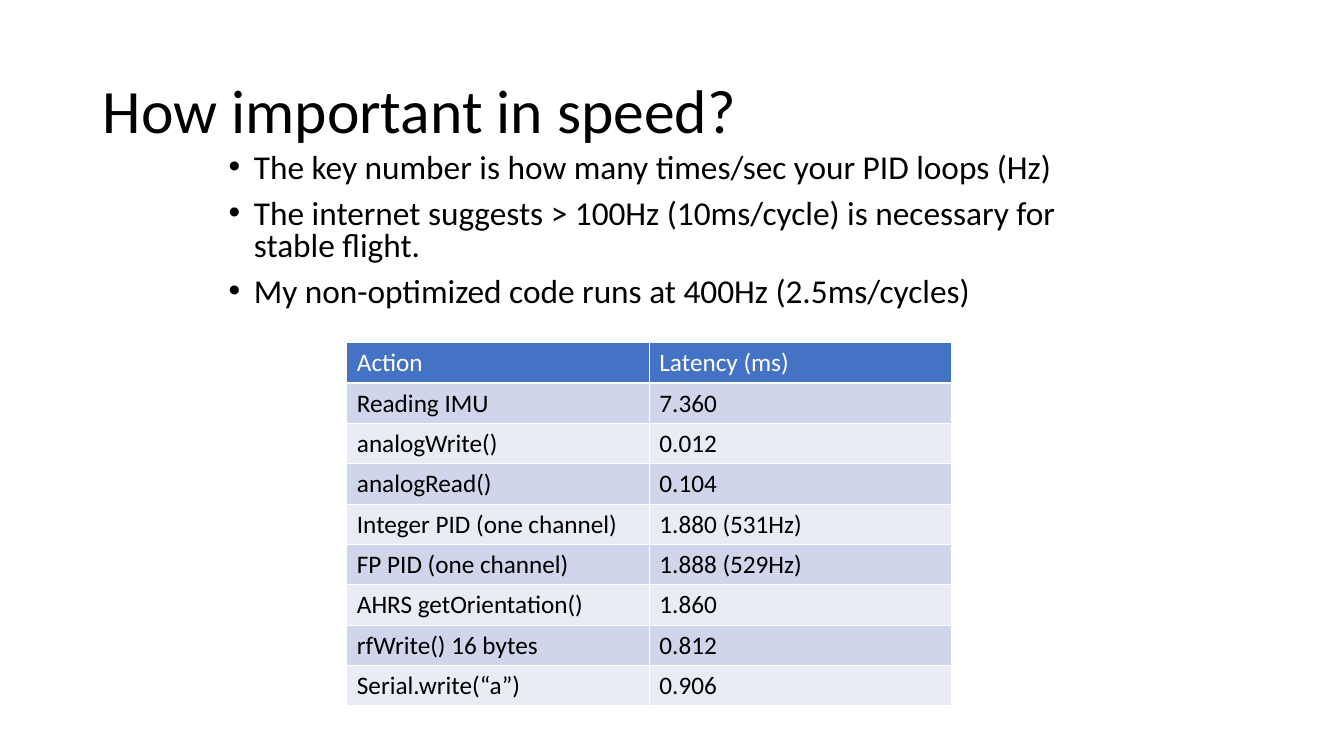
from dataclasses import dataclass

from lxml.etree import SubElement
from pptx import Presentation
from pptx.dml.color import RGBColor
from pptx.enum.text import MSO_ANCHOR, PP_ALIGN
from pptx.oxml.ns import qn
from pptx.util import Inches, Pt


@dataclass(frozen=True)
class Theme:
    font: str = "Calibri"
    text: str = "000000"
    white: str = "FFFFFF"
    header: str = "4472C4"
    bands: tuple = ("CFD5EA", "E9EBF5")
    title_size: float = 44
    bullet_size: float = 23.8
    table_size: float = 18


class SlideBuilder:
    def __init__(self, prs, theme):
        self.theme = theme
        self.s = prs.slides.add_slide(prs.slide_layouts[5])

    def style(self, p, size, color):
        p.font.name = self.theme.font
        p.font.size = Pt(size)
        p.font.bold = False
        p.font.color.rgb = RGBColor.from_string(color)
        p.alignment = PP_ALIGN.LEFT

    def title(self, text, left, top, width, height):
        sp = self.s.shapes.title
        sp.left, sp.top = Inches(left), Inches(top)
        sp.width, sp.height = Inches(width), Inches(height)
        tf = sp.text_frame
        tf.text = text
        tf.vertical_anchor = MSO_ANCHOR.MIDDLE
        p = tf.paragraphs[0]
        p.line_spacing = 0.9
        self.style(p, self.theme.title_size, self.theme.text)

    def bullets(self, items, left, top, width, height):
        sp = self.s.shapes.add_textbox(
            Inches(left), Inches(top), Inches(width), Inches(height))
        tf = sp.text_frame
        tf.word_wrap = True
        tf.text = "\n".join(items)
        for p in tf.paragraphs:
            self.style(p, self.theme.bullet_size, self.theme.text)
            p.line_spacing = 0.8
            p.space_before = Pt(10)
            pPr = p._p.get_or_add_pPr()
            pPr.set("marL", str(Inches(0.25)))
            pPr.set("indent", str(Inches(-0.25)))
            bullet_font = pPr.makeelement(qn("a:buFont"), {"typeface": "Arial"})
            bullet = pPr.makeelement(qn("a:buChar"), {"char": "•"})
            defaults = pPr.find(qn("a:defRPr"))
            defaults.addprevious(bullet_font)
            defaults.addprevious(bullet)

    def table(self, rows, left, top, col_width, row_height):
        theme = self.theme
        cols = len(rows[0])
        table = self.s.shapes.add_table(
            len(rows), cols, Inches(left), Inches(top),
            Inches(col_width * cols), Inches(row_height * len(rows))).table
        for i, row in enumerate(rows):
            fill = theme.bands[(i - 1) % 2] if i else theme.header
            color = theme.text if i else theme.white
            for j, text in enumerate(row):
                cell = table.cell(i, j)
                cell.text = text
                self.style(cell.text_frame.paragraphs[0], theme.table_size, color)
                self.borders(cell)
                cell.fill.solid()
                cell.fill.fore_color.rgb = RGBColor.from_string(fill)

    def borders(self, cell):
        tcPr = cell._tc.get_or_add_tcPr()
        for side in ("L", "R", "T", "B"):
            ln = SubElement(tcPr, qn(f"a:ln{side}"), w=str(Pt(1)))
            solid = SubElement(ln, qn("a:solidFill"))
            SubElement(solid, qn("a:srgbClr"), val=self.theme.white)


BULLETS = [
    "The key number is how many times/sec your PID loops (Hz)",
    "The internet suggests > 100Hz (10ms/cycle) is necessary for stable flight.",
    "My non-optimized code runs at 400Hz (2.5ms/cycles)",
]

LATENCIES = [
    ("Action", "Latency (ms)"),
    ("Reading IMU", "7.360"),
    ("analogWrite()", "0.012"),
    ("analogRead()", "0.104"),
    ("Integer PID (one channel)", "1.880 (531Hz)"),
    ("FP PID (one channel)", "1.888 (529Hz)"),
    ("AHRS getOrientation()", "1.860"),
    ("rfWrite() 16 bytes", "0.812"),
    ("Serial.write(“a”)", "0.906"),
]


def main():
    prs = Presentation()
    prs.slide_width, prs.slide_height = Inches(13.33), Inches(7.5)
    slide = SlideBuilder(prs, Theme())
    slide.title("How important in speed?", 0.92, 0.4, 11.5, 1.45)
    slide.bullets(BULLETS, 2.17, 1.48, 9, 1.89)
    slide.table(LATENCIES, 3.44, 3.4, col_width=3, row_height=0.4)
    prs.save("out.pptx")


if __name__ == "__main__":
    main()
